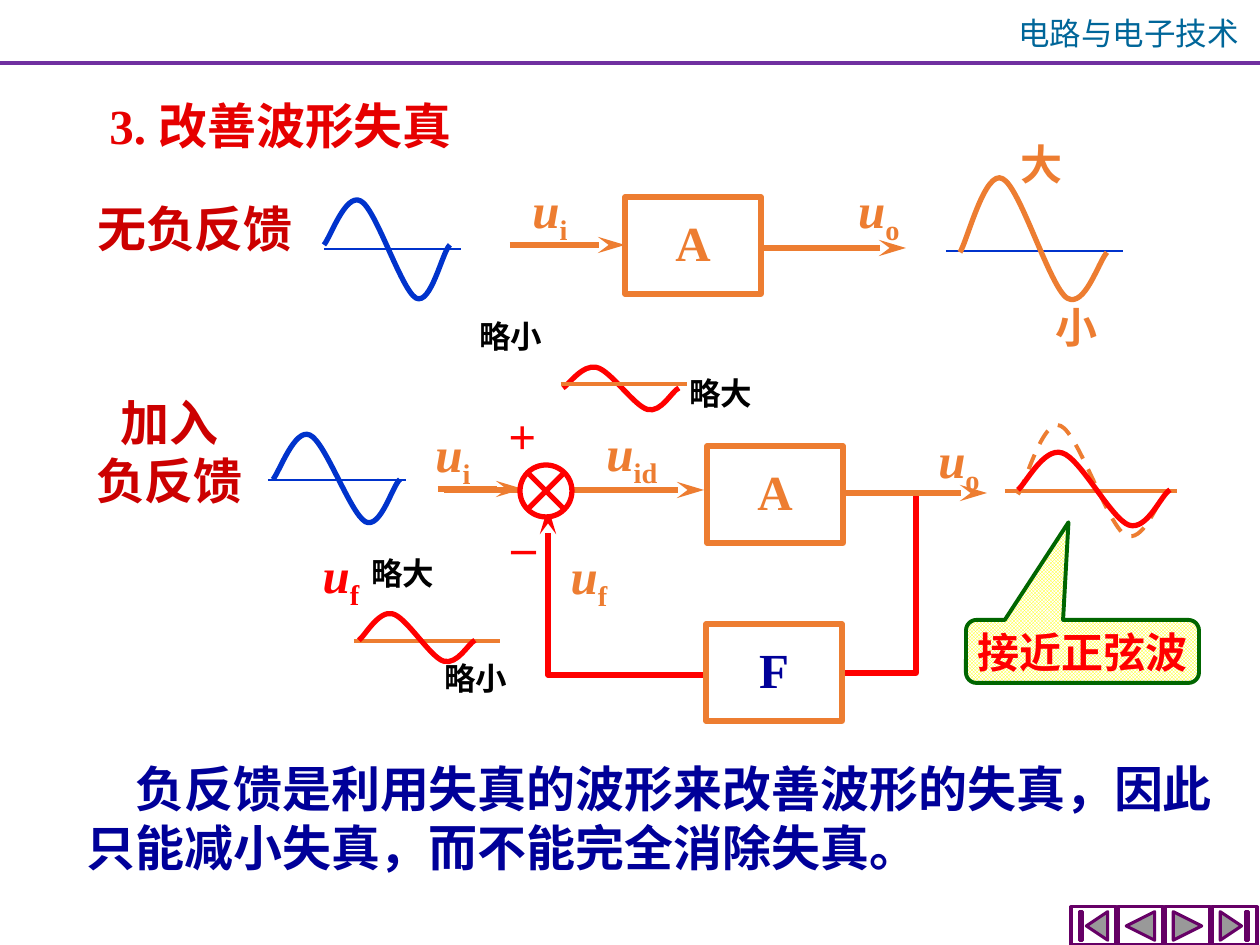
import pptx
import pptx.dml.color
import pptx.enum.dml
import pptx.enum.shapes
import pptx.enum.text
import pptx.oxml.ns
import pptx.util
from lxml import etree

SCALE = 914400 / 126
RGB = pptx.dml.color.RGBColor
SHAPE = pptx.enum.shapes.MSO_SHAPE
LEFT = pptx.enum.text.PP_ALIGN.LEFT
CENTER = pptx.enum.text.PP_ALIGN.CENTER
MIDDLE = pptx.enum.text.MSO_ANCHOR.MIDDLE

ORANGE = RGB(0xED, 0x7D, 0x31)
RED = RGB(0xFF, 0x00, 0x00)
TITLE_RED = RGB(0xE6, 0x00, 0x00)
LABEL_RED = RGB(0xCC, 0x00, 0x00)
BLUE = RGB(0x00, 0x33, 0xCC)
NAVY = RGB(0x00, 0x00, 0x99)
TEAL = RGB(0x00, 0x66, 0x99)
VIOLET = RGB(0x70, 0x30, 0xA0)
PURPLE = RGB(0x66, 0x00, 0x66)
GREEN = RGB(0x00, 0x66, 0x00)
YELLOW = RGB(0xFF, 0xFF, 0x00)
WHITE = RGB(0xFF, 0xFF, 0xFF)
BLACK = RGB(0x00, 0x00, 0x00)
SERIF = "Times New Roman"
SANS = "Noto Sans CJK SC"


def px(length):
    return pptx.util.Emu(round(length * SCALE))


def add_child(parent, tag, **attributes):
    return etree.SubElement(parent, pptx.oxml.ns.qn(tag), attributes)


def set_line(shape, color, width, arrow=False):
    shape.line.color.rgb = color
    shape.line.width = pptx.util.Pt(width)
    if arrow:
        add_child(shape.line._get_or_add_ln(), "a:tailEnd", type="stealth", w="med", len="lg")


def write(frame, words, color, size, align, bold=True, font=SERIF, sub="", spacing=None):
    for index, words_line in enumerate(words.split("\n")):
        para = frame.paragraphs[0] if index == 0 else frame.add_paragraph()
        para.alignment = align
        para.line_spacing = spacing
        para.font.name = font
        para.font.size = pptx.util.Pt(size)
        para.font.bold = bold
        para.font.color.rgb = color
        span = para.add_run()
        span.text = words_line
        if sub:
            span.font.italic = True
            lower = para.add_run()
            lower.text = sub
            lower.font._element.set("baseline", "-25000")


class Region:
    def __init__(self, page, box):
        self.shapes = page.shapes
        self.left, self.top, self.width, self.height = box

    def place(self, x, y):
        return px(self.left + x), px(self.top + y)

    def text(self, box, words, color, size=28, align=CENTER, **style):
        x, y, width, height = box
        label = self.shapes.add_textbox(*self.place(x, y), px(width), px(height))
        label.text_frame.word_wrap = True
        write(label.text_frame, words, color, size, align, **style)
        return label

    def signal(self, x, y, sub, color=ORANGE):
        self.text((x, y, 102, 72), "u", color, sub=sub)

    def line(self, start, end, color, width, arrow=False):
        connector = self.shapes.add_connector(
            pptx.enum.shapes.MSO_CONNECTOR.STRAIGHT, *self.place(*start), *self.place(*end))
        set_line(connector, color, width, arrow)
        add_child(connector._element.spPr, "a:effectLst")

    def outline(self, points, color, width, arrow=False):
        first, *rest = [self.place(*point) for point in points]
        builder = self.shapes.build_freeform(*first)
        builder.add_line_segments(rest, close=False)
        outline = builder.convert_to_shape()
        outline.fill.background()
        outline.shadow.inherit = False
        set_line(outline, color, width, arrow)
        return outline

    def wave(self, box, start, color, width=3):
        x, y, w, h = box
        across = (0, .05, .17, .29, .41, .61, .73, .85, .94, 1)
        down = (start, .86 * start, 0, .07, .13, .85, .93, 1, 1.12 * start, start)
        curve = self.outline([(x + a * w, y + d * h) for a, d in zip(across, down)], color, width)
        path = next(curve._element.iter(pptx.oxml.ns.qn("a:path")))
        steps = list(path)[1:]
        for index in range(0, len(steps), 3):
            bezier = add_child(path, "a:cubicBezTo")
            for step in steps[index:index + 3]:
                bezier.append(step[0])
                path.remove(step)
        return curve

    def shape(self, kind, box, color, width, fill=None):
        x, y, w, h = box
        shape = self.shapes.add_shape(kind, *self.place(x, y), px(w), px(h))
        shape.shadow.inherit = False
        if fill is None:
            shape.fill.background()
        else:
            shape.fill.solid()
            shape.fill.fore_color.rgb = fill
        set_line(shape, color, width)
        shape.text_frame.word_wrap = False
        shape.text_frame.vertical_anchor = MIDDLE
        return shape

    def block(self, x, y, words, color=ORANGE):
        block = self.shape(SHAPE.RECTANGLE, (x, y, 136, 97), ORANGE, 3)
        write(block.text_frame, words, color, 28, CENTER, spacing=0.9)


def add_header(page, box):
    region = Region(page, box)
    region.text((997, 8, 263, 50), "电路与电子技术", TEAL, 18, bold=False, font=SANS)
    for y in (62, 64):
        region.line((0, y), (region.width, y), VIOLET, 1.5)


def add_navigation(page, box):
    region = Region(page, box)
    kinds = (SHAPE.ACTION_BUTTON_BEGINNING, SHAPE.ACTION_BUTTON_BACK_OR_PREVIOUS,
             SHAPE.ACTION_BUTTON_FORWARD_OR_NEXT, SHAPE.ACTION_BUTTON_END)
    for index, kind in enumerate(kinds):
        region.shape(kind, (47 * index, 0, 45, region.height), PURPLE, 1.75, WHITE)


def add_title(page, box):
    region = Region(page, box)
    region.text((0, 0, region.width, region.height), "3. 改善波形失真", TITLE_RED,
                align=LEFT, spacing=0.9)


def add_open_loop(page, box):
    region = Region(page, box)
    region.text((9, 62, 252, 72), "无负反馈", LABEL_RED)
    region.line((264, 119), (401, 119), BLUE, 1.5)
    region.wave((264, 63, 126, 113), 0.46, BLUE)
    region.block(565, 67, "A")
    region.line((450, 115), (565, 115), ORANGE, 3.13, True)
    region.line((702, 118), (846, 118), ORANGE, 3.13, True)
    region.signal(439, 43, "i")
    region.signal(768, 43, "o")
    region.line((886, 121), (1063, 121), BLUE, 1.5)
    region.wave((900, 39, 147, 139), 0.6, ORANGE)
    region.text((948, 2, 72, 63), "大", ORANGE, 24, LEFT)
    region.text((983, 165, 72, 63), "小", ORANGE, 24, LEFT)


def add_closed_loop(page, box):
    region = Region(page, box)
    region.outline([(886, 194), (886, 373), (814, 373)], RED, 3)
    region.line((238, 180), (376, 180), BLUE, 1.5)
    region.wave((243, 128, 127, 101), 0.51, BLUE)
    region.text((33, 86, 213, 130), "加入\n负反馈", LABEL_RED)
    region.block(676, 324, "F", NAVY)
    region.outline([(673, 375), (518, 375), (518, 207)], RED, 3.13, True)
    region.block(677, 146, "A")
    region.line((414, 190), (674, 190), ORANGE, 3.13, True)
    region.line((812, 193), (957, 193), ORANGE, 3.13, True)
    region.line((408, 189), (493, 189), ORANGE, 3.13, True)
    region.shape(SHAPE.FLOWCHART_SUMMING_JUNCTION, (490, 165, 52, 52), RED, 3, WHITE)
    for x, y, sub in ((508, 239, "f"), (878, 123, "o"), (372, 117, "i"), (551, 116, "id")):
        region.signal(x, y, sub)
    region.signal(260, 238, "f", RED)
    region.text((466, 99, 56, 72), "+", RED, align=LEFT)
    region.text((469, 209, 56, 72), "–", RED, align=LEFT)
    for x, y, words in ((437, 11, "略小"), (647, 68, "略大"), (329, 248, "略大"), (402, 353, "略小")):
        region.text((x, y, 134, 50), words, BLACK, 18, LEFT)

    region.wave((533, 64, 116, 49), 0.49, RED)
    region.line((531, 84), (657, 84), ORANGE, 2.25)
    region.line((324, 341), (470, 341), ORANGE, 2.25)
    region.wave((329, 310, 116, 55), 0.55, RED)
    region.line((975, 191), (1147, 191), ORANGE, 2.25)
    dashed = region.wave((988, 117, 147, 127), 0.61, ORANGE, 2.25)
    dashed.line.dash_style = pptx.enum.dml.MSO_LINE.DASH
    region.wave((988, 147, 152, 84), 0.51, RED)

    callout = region.shape(SHAPE.ROUNDED_RECTANGULAR_CALLOUT, (936, 320, 233, 63), GREEN, 2.25)
    callout.adjustments[0] = -0.06
    callout.adjustments[1] = -2.05
    callout.fill.patterned()
    callout.fill.pattern = pptx.enum.dml.MSO_PATTERN.SMALL_CHECKER_BOARD
    callout.fill.fore_color.rgb = YELLOW
    callout.fill.back_color.rgb = WHITE
    write(callout.text_frame, "接近正弦波", RED, 24, CENTER)


def add_conclusion(page, box):
    region = Region(page, box)
    label = region.text(
        (0, 0, region.width, region.height),
        "负反馈是利用失真的波形来改善波形的失真，因此只能减小失真，而不能完全消除失真。",
        NAVY, align=LEFT)
    label.text_frame.paragraphs[0]._p.get_or_add_pPr().set("indent", str(px(49)))


def main():
    deck = pptx.Presentation()
    deck.slide_width = px(1260)
    deck.slide_height = px(945)
    page = deck.slides.add_slide(deck.slide_layouts[6])
    add_header(page, (0, 0, 1260, 66))
    add_navigation(page, (1071, 907, 186, 38))
    add_title(page, (97, 96, 525, 84))
    add_open_loop(page, (60, 130, 1063, 228))
    add_closed_loop(page, (30, 300, 1170, 421))
    add_conclusion(page, (74, 752, 1152, 132))
    deck.save("out.pptx")


if __name__ == "__main__":
    main()
